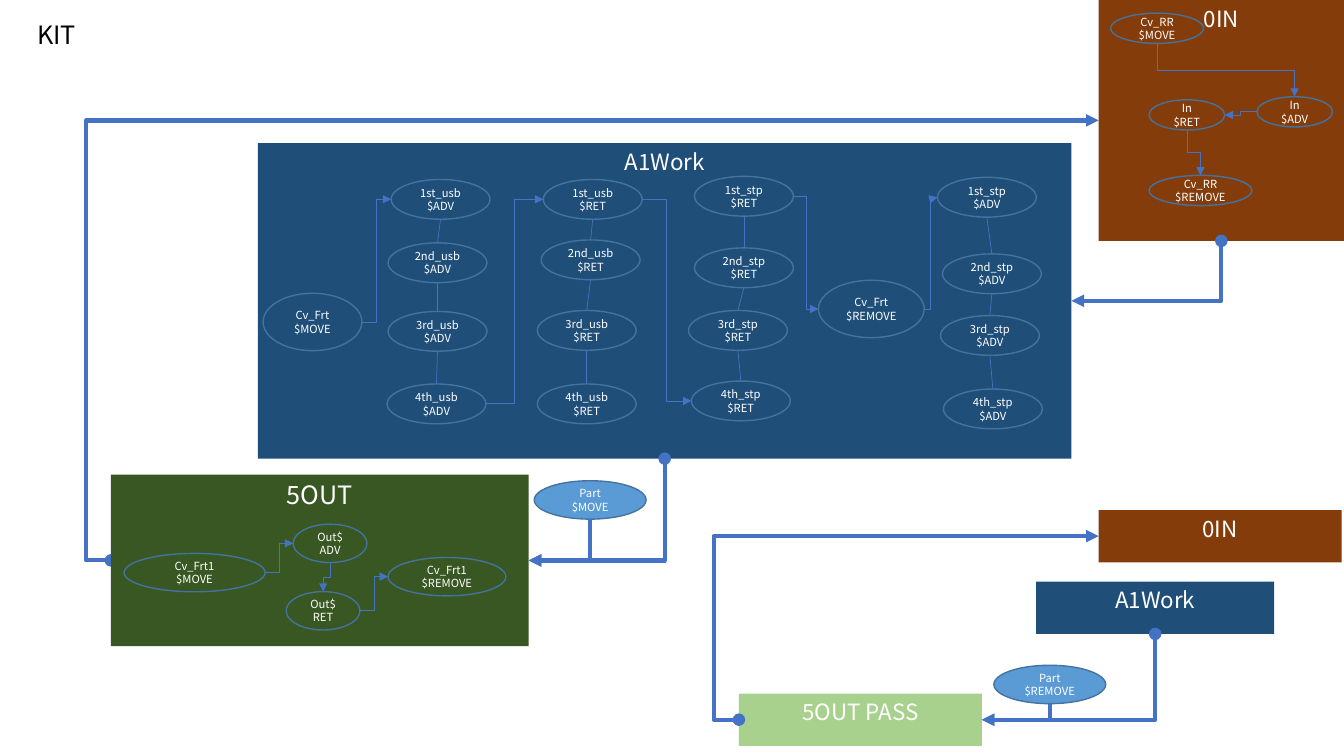
from dataclasses import dataclass, field

from lxml import etree
from pptx import Presentation
from pptx.dml.color import RGBColor
from pptx.enum.shapes import MSO_CONNECTOR, MSO_SHAPE
from pptx.enum.text import MSO_ANCHOR, MSO_AUTO_SIZE, PP_ALIGN
from pptx.oxml.ns import qn
from pptx.util import Emu, Pt

RECT, ELLIPSE = MSO_SHAPE.RECTANGLE, MSO_SHAPE.OVAL
STRAIGHT, ELBOW = MSO_CONNECTOR.STRAIGHT, MSO_CONNECTOR.ELBOW
LEFT, CENTER = PP_ALIGN.LEFT, PP_ALIGN.CENTER
ANCHOR_TOP, ANCHOR_MIDDLE = MSO_ANCHOR.TOP, MSO_ANCHOR.MIDDLE
NO_AUTOFIT = MSO_AUTO_SIZE.NONE
TOP, WEST, BOTTOM, EAST = range(4)
TITLE_ONLY = 5


@dataclass(frozen=True)
class Theme:
    font: str = "Noto Sans CJK KR"
    black: str = "000000"
    white: str = "FFFFFF"
    brown: str = "843C0B"
    navy: str = "1F4E79"
    green: str = "385723"
    light_green: str = "A9D18E"
    blue: str = "5B9BD5"
    outline: str = "43739E"
    link: str = "4472C4"
    title: int = 18
    heading: int = 16
    label: int = 8
    thin: float = 0.5
    thick: float = 3


@dataclass(frozen=True)
class Node:
    key: str
    text: str
    box: tuple[float, float, float, float]


@dataclass(frozen=True)
class Link:
    start: str
    start_side: int
    end: str
    end_side: int
    kind: str = "bentConnector3"
    bend: float = 0.5
    head: str = ""
    behind: bool = False


@dataclass(frozen=True)
class Panel:
    node: Node
    fill: str
    size: int = 16
    steps: list[Node] = field(default_factory=list)
    links: list[Link] = field(default_factory=list)


T = Theme()
CORNER, LINE = "bentConnector2", "line"
STEP_W, STEP_H, PART_W, OUT_H, IN_H = 70.6, 28.4, 79.9, 27.4, 21.6
BAR_H = 37.4

COLUMNS = {
    ("usb", "ADV"): [(279.4, 128.2), (277.2, 173.5), (277.2, 222.5), (276.5, 274.3)],
    ("usb", "RET"): [(388.1, 128.2), (386.6, 171.4), (383.8, 221.8), (383.8, 274.3)],
    ("stp", "RET"): [(496.1, 126), (496.1, 177.1), (491.8, 221.8), (493.9, 272.2)],
    ("stp", "ADV"): [(669.6, 126.7), (673.2, 181.4), (671.8, 225.4), (673.9, 277.9)],
}
ORDINALS = ("1st", "2nd", "3rd", "4th")
WORK_STEPS = [
    Node(f"{n}_{unit}_{move}", f"{n}_{unit}\n${move}", (x, y, STEP_W, STEP_H))
    for (unit, move), places in COLUMNS.items()
    for n, (x, y) in zip(ORDINALS, places)
]
WORK_CHAINS = [
    Link(f"{a}_{unit}_{move}", BOTTOM, f"{b}_{unit}_{move}", TOP, LINE)
    for unit, move in COLUMNS
    for a, b in zip(ORDINALS, ORDINALS[1:])
]

PANELS = [
    Panel(
        Node("in", "0IN", (784.8, 0, 175.2, 172.1)), T.brown, T.heading,
        [
            Node("rr_move", "Cv_RR\n$MOVE", (793.4, 9.4, 66.2, IN_H)),
            Node("in_ret", "In\n$RET", (820.8, 71.3, 54, IN_H)),
            Node("in_adv", "In\n$ADV", (897.8, 69.1, 54, IN_H)),
            Node("rr_remove", "Cv_RR $REMOVE", (820.8, 125.3, 73.4, IN_H)),
        ],
        [
            Link("rr_move", BOTTOM, "in_adv", TOP),
            Link("in_adv", WEST, "in_ret", EAST),
            Link("in_ret", BOTTOM, "rr_remove", TOP),
        ],
    ),
    Panel(
        Node("work", "A1Work", (184.3, 102.2, 581, 225.4)), T.navy, T.heading,
        [
            Node("frt_move", "Cv_Frt\n$MOVE", (187.9, 209.5, STEP_W, 41)),
            *WORK_STEPS,
            Node("frt_remove", "Cv_Frt\n$REMOVE", (584.6, 200.2, 75.6, 41)),
        ],
        WORK_CHAINS + [
            Link(a, EAST, b, WEST) for a, b in (
                ("frt_move", "1st_usb_ADV"), ("4th_usb_ADV", "1st_usb_RET"),
                ("1st_usb_RET", "4th_stp_RET"), ("1st_stp_RET", "frt_remove"),
                ("frt_remove", "1st_stp_ADV"))
        ],
    ),
    Panel(
        Node("out", "5OUT", (79.2, 339.1, 298.5, 122.4)), T.green, T.title,
        [
            Node("frt1_move", "Cv_Frt1\n$MOVE", (88.6, 395.3, 100.8, OUT_H)),
            Node("out_ret", "Out$RET", (204.5, 422.6, 52.6, OUT_H)),
            Node("out_adv", "Out$ADV", (209.5, 374.4, 52.6, OUT_H)),
            Node("frt1_remove", "Cv_Frt1\n$REMOVE", (277.2, 398.2, 84.2, OUT_H)),
        ],
        [
            Link("frt1_move", EAST, "out_adv", WEST),
            Link("out_adv", BOTTOM, "out_ret", TOP),
            Link("out_ret", EAST, "frt1_remove", WEST),
        ],
    ),
    Panel(Node("in_bar", "0IN", (784.8, 364.3, 173.5, BAR_H)), T.brown),
    Panel(Node("work_bar", "A1Work", (740.2, 415.4, 169.9, BAR_H)), T.navy),
    Panel(Node("pass_bar", "5OUT PASS", (527.8, 495.4, 173.5, BAR_H)), T.light_green),
]
PARTS = [
    Node("part_move", "Part\n$MOVE", (381.6, 343.4, PART_W, OUT_H)),
    Node("part_remove", "Part\n$REMOVE", (709.9, 475.2, PART_W, OUT_H)),
]
MAIN_LINKS = [
    Link("in", BOTTOM, "work", EAST, CORNER, head="oval"),
    Link("out", WEST, "in", WEST, bend=-0.025, head="oval", behind=True),
    Link("work", BOTTOM, "out", EAST, CORNER, head="oval"),
    Link("part_move", BOTTOM, "out", EAST, CORNER),
    Link("work_bar", BOTTOM, "pass_bar", EAST, CORNER, head="oval"),
    Link("pass_bar", WEST, "in_bar", WEST, bend=-0.07, head="oval"),
    Link("part_remove", BOTTOM, "pass_bar", EAST, CORNER),
]


def set_text(sp, text: str, size: int, color: str, align, anchor) -> None:
    tf = sp.text_frame
    tf.text = text
    tf.word_wrap, tf.vertical_anchor = True, anchor
    for p in tf.paragraphs:
        p.alignment = align
        for name, value in {"name": T.font, "size": Pt(size)}.items():
            setattr(p.runs[0].font, name, value)
        p.runs[0].font.color.rgb = RGBColor.from_string(color)


def add_node(shapes, node: Node, kind, fill: str, size: int):
    sp = shapes.add_shape(kind, *map(Pt, node.box))
    sp.shadow.inherit = False
    sp.fill.solid()
    sp.fill.fore_color.rgb = RGBColor.from_string(fill)
    if kind == ELLIPSE:
        sp.line.color.rgb = RGBColor.from_string(T.outline)
        sp.line.width = Pt(1)
    else:
        sp.line.fill.background()
    set_text(sp, node.text, size, T.white, CENTER, ANCHOR_MIDDLE if kind == ELLIPSE else ANCHOR_TOP)
    return sp


def port(sp, side: int) -> tuple[float, float]:
    """Return the middle of one side of a shape, in EMU."""
    fx, fy = ((0.5, 0), (0, 0.5), (0.5, 1), (1, 0.5))[side]
    return sp.left + sp.width * fx, sp.top + sp.height * fy


def add_link(shapes, link: Link, nodes: dict, width: float) -> None:
    ends = ((nodes[link.start], link.start_side), (nodes[link.end], link.end_side))
    (x1, y1), (x2, y2) = (port(*end) for end in ends)
    straight = link.kind == LINE
    turned = not straight and link.start_side == BOTTOM
    if turned:
        # A downward start is a sideways elbow turned a quarter about its centre.
        mx, my, dx, dy = (x1 + x2) / 2, (y1 + y2) / 2, (x2 - x1) / 2, (y2 - y1) / 2
        x1, y1, x2, y2 = mx - dy, my + dx, mx + dy, my - dx
    c = shapes.add_connector(STRAIGHT if straight else ELBOW, *(Emu(int(v)) for v in (x1, y1, x2, y2)))
    c.line.color.rgb = RGBColor.from_string(T.link)
    c.line.width = Pt(width)
    el = c._element
    if turned:
        el.spPr.find(qn("a:xfrm")).set("rot", str(90 * 60000))
    for tag, (sp, side) in zip(("a:stCxn", "a:endCxn"), ends):
        site = side * 2 if sp.auto_shape_type == ELLIPSE else side
        etree.SubElement(el.nvCxnSpPr.cNvCxnSpPr, qn(tag), id=str(sp.shape_id), idx=str(site))
    if not straight:
        geom = el.spPr.find(qn("a:prstGeom"))
        geom.set("prst", link.kind)
        if link.kind != CORNER:
            etree.SubElement(geom.find(qn("a:avLst")), qn("a:gd"), name="adj1",
                             fmla=f"val {round(link.bend * 100000)}")
        ln = el.spPr.find(qn("a:ln"))
        if link.head:
            etree.SubElement(ln, qn("a:headEnd"), type=link.head)
        etree.SubElement(ln, qn("a:tailEnd"), type="triangle")
    etree.SubElement(el.spPr, qn("a:effectLst"))
    if link.behind:
        el.getparent().insert(2, el)


def add_panel(slide, panel: Panel, nodes: dict) -> None:
    shapes = slide.shapes.add_group_shape().shapes if panel.steps else slide.shapes
    nodes[panel.node.key] = add_node(shapes, panel.node, RECT, panel.fill, panel.size)
    for step in panel.steps:
        nodes[step.key] = add_node(shapes, step, ELLIPSE, panel.fill, T.label)
    for link in panel.links:
        add_link(shapes, link, nodes, T.thin)


def main() -> None:
    prs = Presentation()
    prs.slide_width, prs.slide_height = Pt(960), Pt(540)
    s = prs.slides.add_slide(prs.slide_layouts[TITLE_ONLY])
    title = s.shapes.title
    box = {"left": 19.4, "top": 7.2, "width": 57.6, "height": 37.4}
    for name, value in box.items():
        setattr(title, name, Pt(value))
    set_text(title, "KIT", T.title, T.black, LEFT, ANCHOR_MIDDLE)
    title.text_frame.auto_size = NO_AUTOFIT
    title.text_frame.paragraphs[0].line_spacing = 0.9

    nodes = {}
    for panel in PANELS:
        add_panel(s, panel, nodes)
    for part in PARTS:
        nodes[part.key] = add_node(s.shapes, part, ELLIPSE, T.blue, T.label)
    for link in MAIN_LINKS:
        add_link(s.shapes, link, nodes, T.thick)
    prs.save("out.pptx")


if __name__ == "__main__":
    main()
